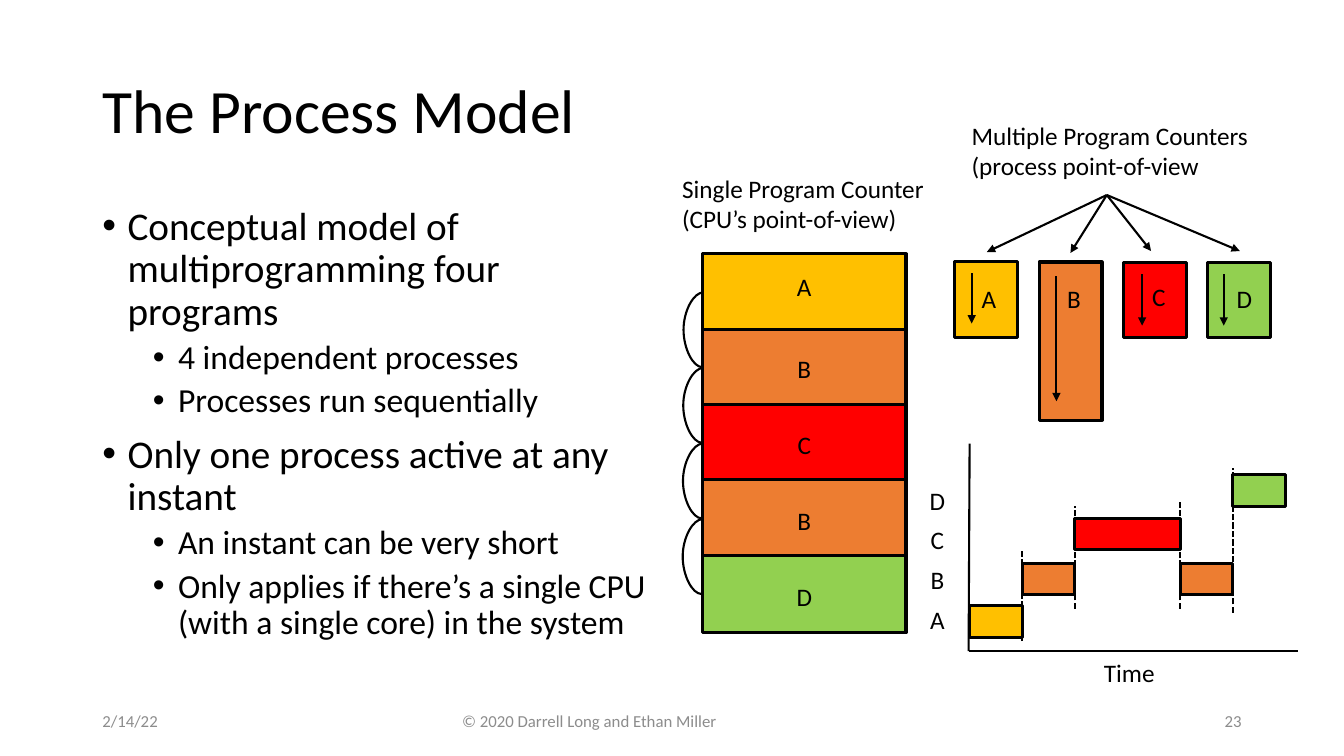
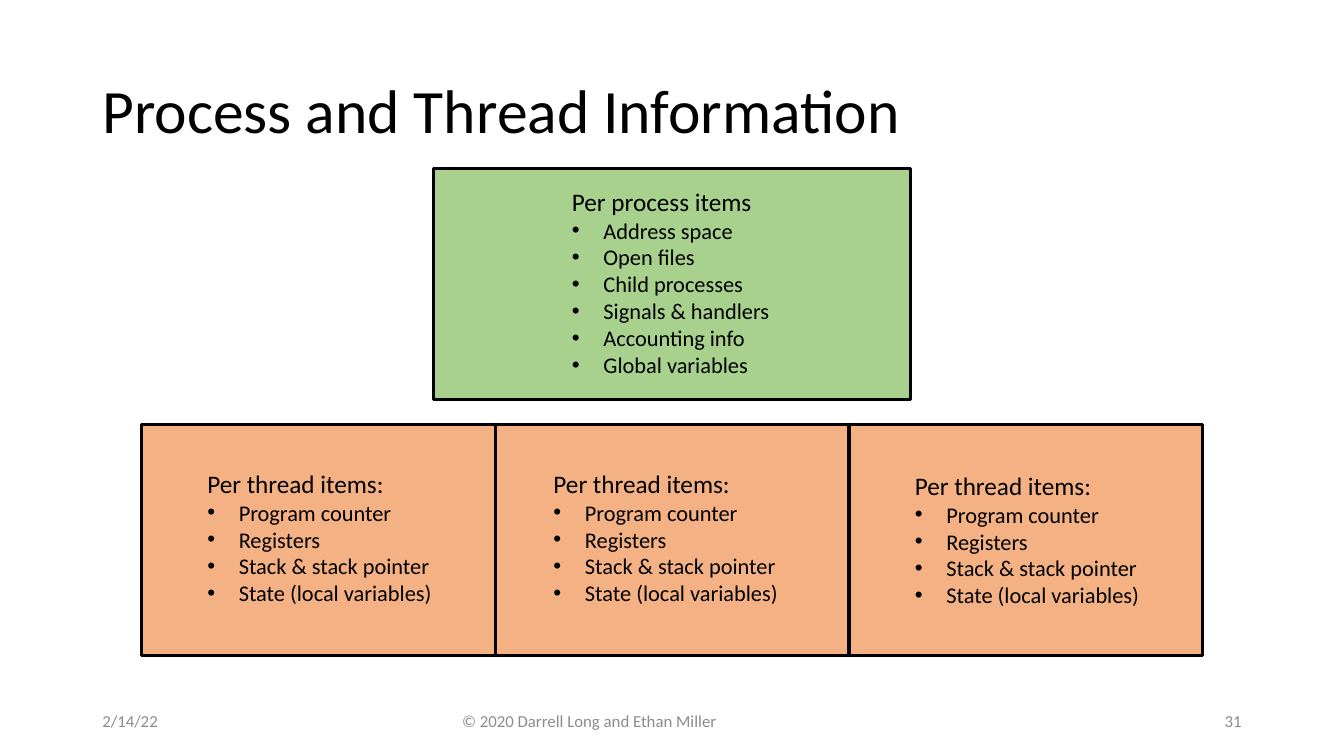
from dataclasses import dataclass
from typing import Any, Optional

from lxml.etree import SubElement
from pptx import Presentation
from pptx.dml.color import RGBColor
from pptx.enum.dml import MSO_LINE as Dash
from pptx.enum.shapes import MSO_CONNECTOR as Link, MSO_SHAPE as Preset
from pptx.enum.text import MSO_ANCHOR as Anchor, MSO_AUTO_SIZE as AutoSize, PP_ALIGN as Align
from pptx.oxml.ns import qn
from pptx.util import Pt

FONT = "Calibri"
BLACK, GREY = "000000", "8C8C8C"
YELLOW, ORANGE, RED, LIME = "FFC000", "ED7D31", "FF0000", "92D050"
GREEN, PEACH = "A9D18E", "F4B183"
COLORS = {"A": YELLOW, "B": ORANGE, "C": RED, "D": LIME}


@dataclass
class Box:
    x: float
    y: float
    w: float
    h: float


@dataclass
class Para:
    text: str
    size: float = 18
    color: str = BLACK
    align: Align = Align.LEFT
    level: int = 0
    margin: float = 0
    hang: float = 0
    before: float = 0
    spacing: Optional[float] = None


@dataclass
class Process:
    name: str
    box: Box
    label_x: float
    label_y: float
    run_x: float
    run_top: float
    run_end: float
    fan_x: float
    fan_y: float


@dataclass
class Lane:
    bar_y: float
    label_y: float


@dataclass
class Burst:
    name: str
    start: int
    length: int


@dataclass
class Switch:
    time: int
    bottom: float
    top: float


TITLE = Box(66, 28.8, 828, 104.4)
BODY = Box(66, 144, 404, 342.6)
FOOTERS = [
    (Box(66, 500.5, 98, 28.8), "2/14/22", Align.LEFT),
    (Box(219, 500.5, 404, 28.8), "© 2020 Darrell Long and Ethan Miller", Align.CENTER),
    (Box(678, 500.5, 216, 28.8), "{number}", Align.RIGHT),
]
PROCESSES = [
    Process("A", Box(681.8, 186.8, 44.9, 54), 694, 198.7, 694.1, 195.1, 231.1, 704.9, 180),
    Process("B", Box(742.3, 187.2, 44.9, 113), 755.2, 198.7, 754.6, 197.3, 286.6, 764.6, 180.7),
    Process("C", Box(802.5, 187.2, 44.9, 54), 815.8, 197.3, 815.8, 195.8, 232.6, 822.2, 179.3),
    Process("D", Box(862.6, 187.2, 44.9, 54), 876.2, 198.7, 874.1, 195.8, 232.6, 885.6, 179.3),
]
LANES = {
    "A": Lane(432.7, 428.4),
    "B": Lane(402.5, 399.6),
    "C": Lane(370.1, 370.8),
    "D": Lane(339.1, 343.4),
}
BURSTS = [Burst("A", 0, 1), Burst("B", 1, 1), Burst("C", 2, 2), Burst("B", 4, 1), Burst("D", 5, 1)]
SWITCHES = [
    Switch(1, 457.9, 392.4),
    Switch(2, 434.9, 361.4),
    Switch(4, 434.9, 358.6),
    Switch(5, 437.8, 334.1),
]


def rgb(value: str) -> RGBColor:
    return RGBColor.from_string(value)


def apply(obj: Any, values: dict) -> None:
    for name, value in values.items():
        setattr(obj, name, value)


def place(box: Box) -> list:
    return [Pt(v) for v in (box.x, box.y, box.w, box.h)]


def fill_text(sp: Any, paras: list[Para], anchor: Anchor = Anchor.TOP) -> None:
    tf = sp.text_frame
    apply(tf, {"word_wrap": True, "auto_size": AutoSize.NONE, "vertical_anchor": anchor})
    for i, para in enumerate(paras):
        p = tf.add_paragraph() if i else tf.paragraphs[0]
        if para.hang:
            pPr = p._p.get_or_add_pPr()
            pPr.set("marL", str(Pt(para.margin)))
            pPr.set("indent", str(-Pt(para.hang)))
            SubElement(pPr, qn("a:buFont")).set("typeface", "Arial")
            SubElement(pPr, qn("a:buChar")).set("char", "•")
        apply(p, {
            "level": para.level,
            "alignment": para.align,
            "line_spacing": para.spacing,
            "space_before": Pt(para.before if i else 0),
        })
        r = p.add_run()
        r.text = para.text
        apply(r.font, {"name": FONT, "size": Pt(para.size)})
        r.font.color.rgb = rgb(para.color)


def add_text(s: Any, box: Box, paras: list[Para], anchor: Anchor = Anchor.TOP) -> None:
    fill_text(s.shapes.add_textbox(*place(box)), paras, anchor)


def add_rect(s: Any, box: Box, color: str) -> None:
    sp = s.shapes.add_shape(Preset.RECTANGLE, *place(box))
    sp.shadow.inherit = False
    sp.fill.solid()
    sp.fill.fore_color.rgb = rgb(color)
    sp.line.color.rgb = rgb(BLACK)
    sp.line.width = Pt(2.25)


def add_line(s: Any, x1: float, y1: float, x2: float, y2: float, kind: Link = Link.STRAIGHT,
             arrow: bool = False, dashed: bool = False) -> Any:
    c = s.shapes.add_connector(kind, *[Pt(v) for v in (x1, y1, x2, y2)])
    c.line.color.rgb = rgb(BLACK)
    c.line.width = Pt(1.5)
    if dashed:
        c.line.dash_style = Dash.SQUARE_DOT
    spPr = c._element.spPr
    if arrow:
        SubElement(spPr.find(qn("a:ln")), qn("a:tailEnd")).set("type", "triangle")
    SubElement(spPr, qn("a:effectLst"))
    return c


def add_arc(s: Any, x: float, top: float, bottom: float) -> None:
    c = add_line(s, x + 0.8, top, x, bottom, Link.CURVE)
    geom = c._element.spPr.find(qn("a:prstGeom"))
    guides = geom.find(qn("a:avLst"))
    if guides is None:
        guides = SubElement(geom, qn("a:avLst"))
    gd = SubElement(guides, qn("a:gd"))
    gd.set("name", "adj1")
    gd.set("fmla", "val 1800000")


def add_slide(prs: Any, layout: int, title: str, number: int) -> Any:
    s = prs.slides.add_slide(prs.slide_layouts[layout])
    sp = s.shapes.title
    apply(sp, dict(zip(("left", "top", "width", "height"), place(TITLE))))
    fill_text(sp, [Para(title, 44, spacing=0.9)], Anchor.MIDDLE)
    for box, text, align in FOOTERS:
        para = Para(text.format(number=number), 12, GREY, align)
        add_text(s, box, [para], Anchor.MIDDLE)
    return s


def bullet(text: str, level: int = 0) -> Para:
    size, margin, before = ((28, 18, 10), (24, 54, 5))[level]
    return Para(text, size, level=level, margin=margin, hang=18, before=before, spacing=0.9)


def add_items(s: Any, box: Box, heading: str, items: list[str]) -> None:
    add_text(s, box, [Para(heading)] + [Para(t, 16, margin=22.5, hang=22.5) for t in items])


def draw_stack(s: Any) -> None:
    x, top, step = 501.8, 181.4, 53.8
    label_tops = [190.1, 249.1, 303.1, 357.1, 411.8]
    for i, (name, label_y) in enumerate(zip("ABCBD", label_tops)):
        add_rect(s, Box(x, top + i * step, 145.4, 55.4), COLORS[name])
        add_text(s, Box(527, label_y, 95, 26.6), [Para(name, align=Align.CENTER)])
    for i in range(4):
        start = 208.8 + i * 54
        add_arc(s, x - 0.2 * i, start, start + 53.5)
    add_text(s, Box(480.2, 120.2, 189, 51), [Para("Single Program Counter (CPU’s point-of-view)")])


def draw_processes(s: Any) -> None:
    for proc in PROCESSES:
        add_rect(s, proc.box, COLORS[proc.name])
        add_text(s, Box(proc.label_x, proc.label_y, 18, 31), [Para(proc.name)])
        add_line(s, proc.run_x, proc.run_top, proc.run_x, proc.run_end, arrow=True)
        add_line(s, 790.6, 139.3, proc.fan_x, proc.fan_y, arrow=True)
    add_text(s, Box(686.9, 82.1, 219.6, 51), [Para("Multiple Program Counters (process point-of-view")])


def draw_timeline(s: Any) -> None:
    x, base, unit = 692.6, 465.1, 37.6
    add_line(s, x, 316.8, x - 0.7, base)
    add_line(s, x - 0.7, base, 927.4, base)
    for name, lane in LANES.items():
        add_text(s, Box(654.5, lane.label_y, 30.2, 30.2), [Para(name, align=Align.CENTER)])
    for b in BURSTS:
        box = Box(x + b.start * unit, LANES[b.name].bar_y, b.length * unit, 22.5)
        add_rect(s, box, COLORS[b.name])
    for sw in SWITCHES:
        at = x + sw.time * unit
        add_line(s, at, sw.bottom, at, sw.top, dashed=True)
    add_text(s, Box(750.2, 465.8, 113, 24), [Para("Time", align=Align.CENTER)])


def build_model(prs: Any) -> None:
    s = add_slide(prs, 1, "The Process Model", 23)
    sp = s.placeholders[1]
    apply(sp, dict(zip(("left", "top", "width", "height"), place(BODY))))
    fill_text(sp, [
        bullet("Conceptual model of multiprogramming four programs"),
        bullet("4 independent processes", 1),
        bullet("Processes run sequentially", 1),
        bullet("Only one process active at any instant"),
        bullet("An instant can be very short", 1),
        bullet("Only applies if there’s a single CPU (with a single core) in the system", 1),
    ])
    draw_stack(s)
    draw_processes(s)
    draw_timeline(s)


def build_information(prs: Any) -> None:
    s = add_slide(prs, 5, "Process and Thread Information", 31)
    add_rect(s, Box(309.6, 120.2, 340.8, 165), GREEN)
    add_items(s, Box(401.5, 129.6, 205, 145.4), "Per process items", [
        "Address space", "Open files", "Child processes",
        "Signals & handlers", "Accounting info", "Global variables",
    ])
    for i, (x, y) in enumerate([(141, 331.2), (388.3, 331.2), (646.4, 332.6)]):
        add_rect(s, Box(101 + i * 252.7, 303.1, 252.7, 165), PEACH)
        add_items(s, Box(x, y, 208, 106.6), "Per thread items:", [
            "Program counter", "Registers", "Stack & stack pointer", "State (local variables)",
        ])


def main() -> None:
    prs = Presentation()
    apply(prs, {"slide_width": Pt(960), "slide_height": Pt(540)})
    build_model(prs)
    build_information(prs)
    prs.save("out.pptx")


if __name__ == "__main__":
    main()
